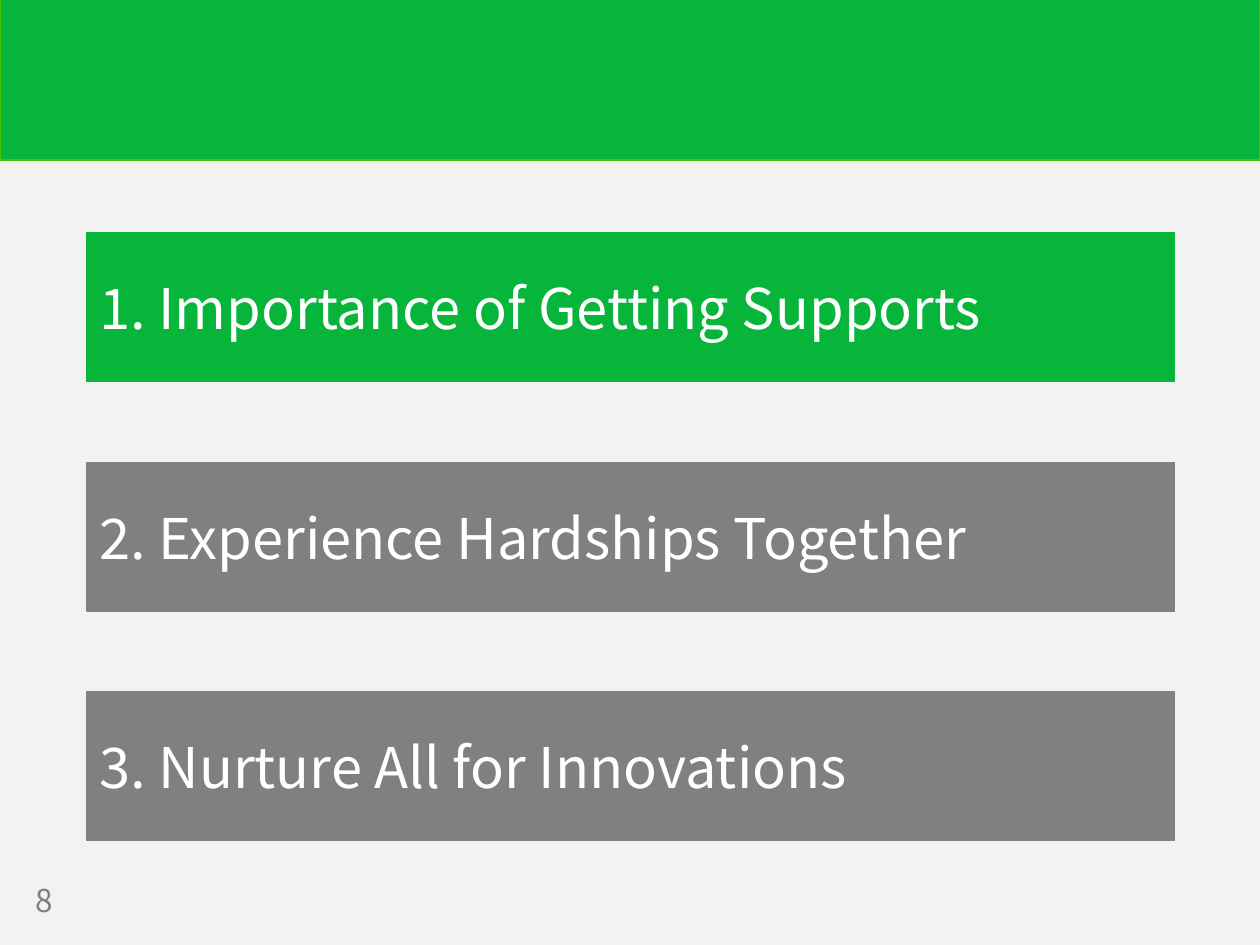
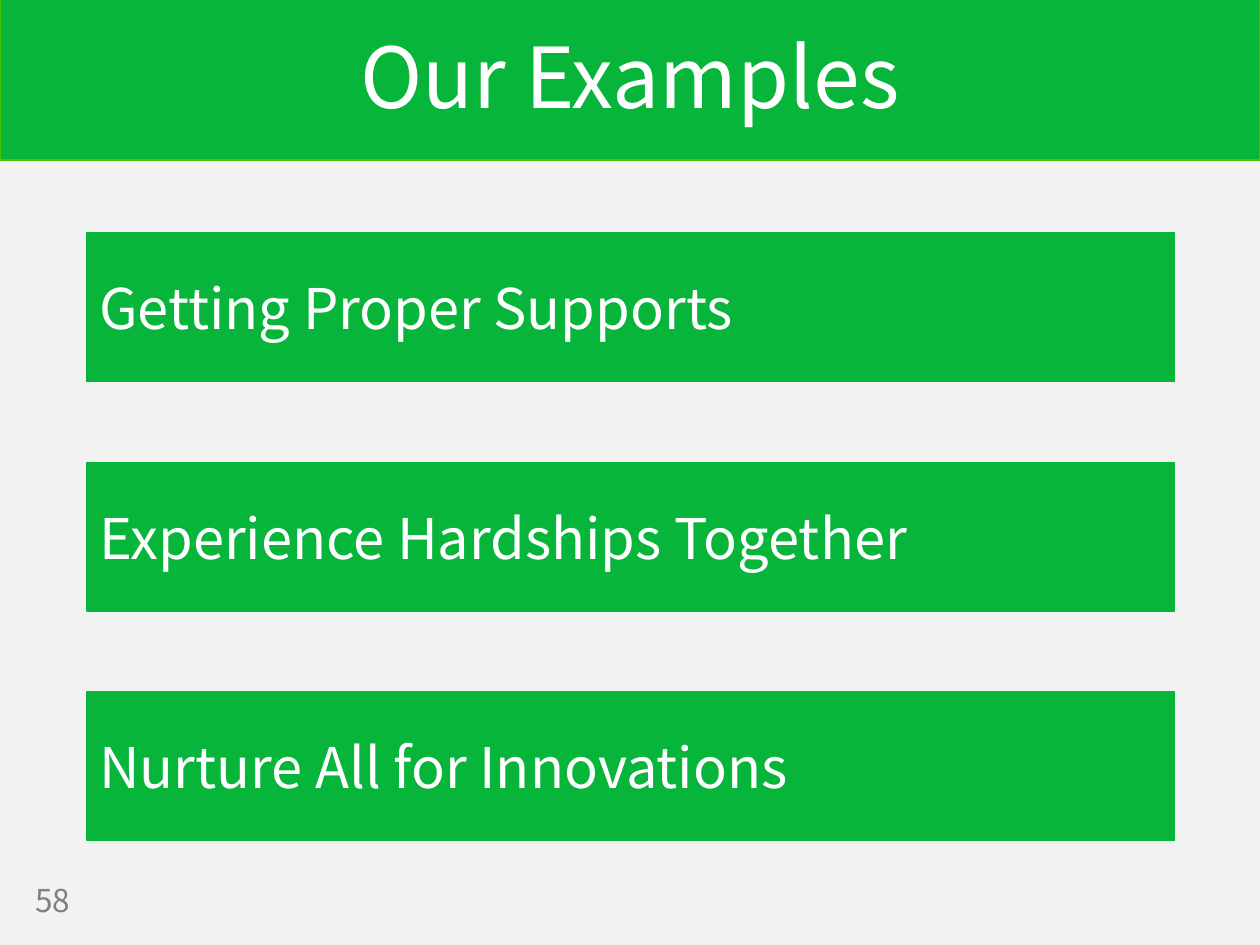
"""Build the agenda slide and the examples slide."""
from pptx import Presentation
from pptx.dml.color import RGBColor
from pptx.enum.shapes import MSO_SHAPE as Shape
from pptx.enum.text import MSO_ANCHOR as Anchor, PP_ALIGN as Align
from pptx.util import Inches, Pt

GREEN = RGBColor(0x07, 0xB5, 0x3B)
BAND_EDGE = RGBColor(0x44, 0xC4, 0x04)
GRAY = RGBColor(0x80, 0x80, 0x80)
PAPER = RGBColor(0xF2, 0xF2, 0xF2)
WHITE = RGBColor(0xFF, 0xFF, 0xFF)
FONT = "Noto Sans CJK JP"
BAR_TOP, BAR_PITCH = 1.85, 1.82


def add_bar(page, left, top, width, height, fill, edge, line_width):
    bar = page.shapes.add_shape(
        Shape.RECTANGLE, Inches(left), Inches(top), Inches(width), Inches(height))
    bar.shadow.inherit = False
    bar.fill.solid()
    bar.fill.fore_color.rgb = fill
    bar.line.color.rgb = edge
    bar.line.width = Pt(line_width)
    return bar


def write(box, text, *, size, color=WHITE, align=Align.LEFT, spacing=None):
    frame = box.text_frame
    frame.word_wrap = True
    frame.vertical_anchor = Anchor.MIDDLE
    para = frame.paragraphs[0]
    para.alignment = align
    para.line_spacing = spacing
    span = para.add_run()
    span.text = text
    span.font.name = FONT
    span.font.size = Pt(size)
    span.font.color.rgb = color


deck = Presentation()
deck.slide_width = Inches(10)
deck.slide_height = Inches(7.5)

pages = [
    ("", "8", [
        ("1. Importance of Getting Supports", GREEN),
        ("2. Experience Hardships Together", GRAY),
        ("3. Nurture All for Innovations", GRAY),
    ]),
    ("Our Examples", "58", [
        ("Getting Proper Supports", GREEN),
        ("Experience Hardships Together", GREEN),
        ("Nurture All for Innovations", GREEN),
    ]),
]

for title, number, topics in pages:
    page = deck.slides.add_slide(deck.slide_layouts[6])
    page.background.fill.solid()
    page.background.fill.fore_color.rgb = PAPER
    add_bar(page, 0, -0.01, 10, 1.28, GREEN, BAND_EDGE, 1)

    if title:
        title_box = page.shapes.add_textbox(
            Inches(0), Inches(0.36), Inches(10), Inches(0.57))
        write(title_box, title, size=48, align=Align.CENTER, spacing=0.9)

    number_box = page.shapes.add_textbox(
        Inches(0.18), Inches(6.95), Inches(0.79), Inches(0.39))
    write(number_box, number, size=18, color=GRAY)

    for row, (topic, color) in enumerate(topics):
        topic_bar = add_bar(
            page, 0.69, BAR_TOP + row * BAR_PITCH, 8.63, 1.18, color, color, 0.75)
        write(topic_bar, topic, size=32)

deck.save("out.pptx")
